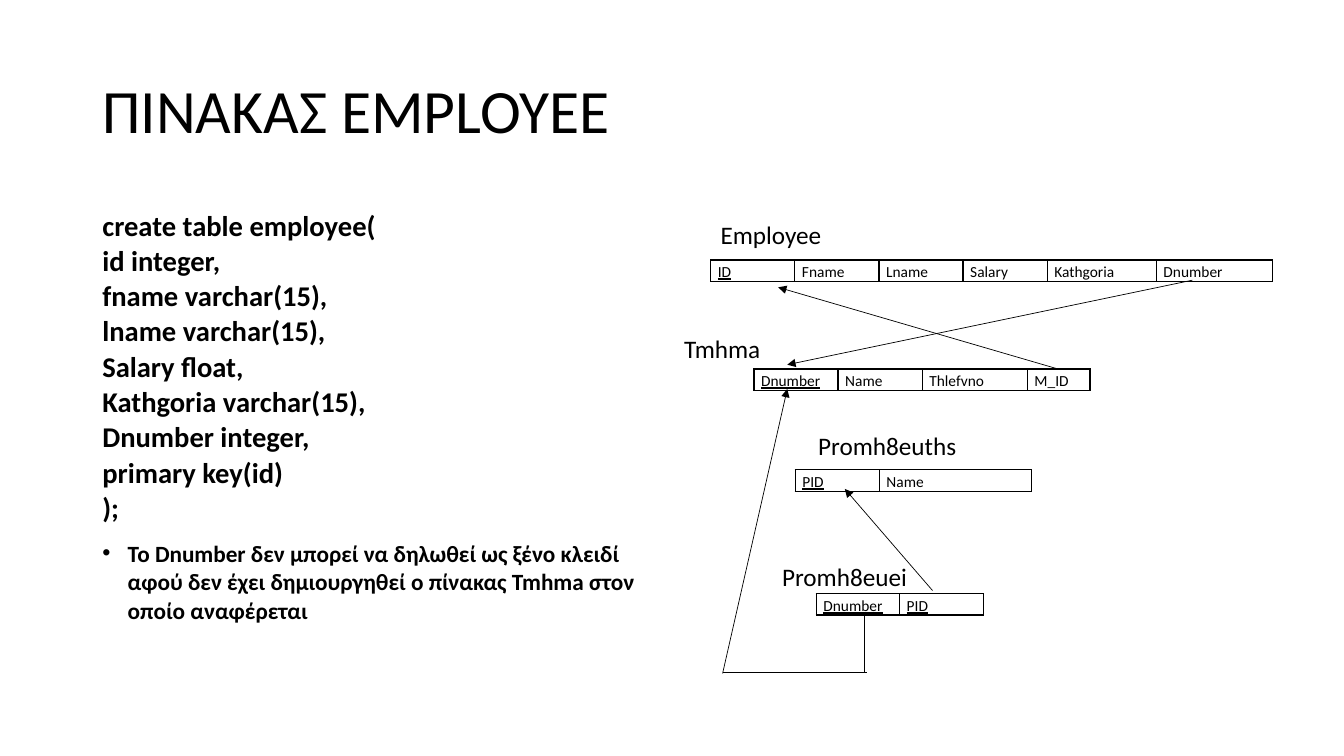
from pptx import Presentation
from pptx import util as u
from pptx.dml import color
from pptx.enum import shapes, text
from pptx.oxml import parse_xml
from pptx.oxml.ns import nsdecls, qn
from lxml import etree

COLORS = {"ink": "000000", "paper": "FFFFFF"}
FONT = "Calibri"
KEY_WIDTH = 2.12
ROW_HEIGHT = 0.51

SQL_LINES = [
    "create table employee(", "id integer,", "fname varchar(15),",
    "lname varchar(15),", "Salary float,", "Kathgoria varchar(15),",
    "Dnumber integer,", "primary key(id)", ");",
]
NOTE = ("Το Dnumber δεν μπορεί να δηλωθεί ως ξένο κλειδί αφού δεν έχει "
        "δημιουργηθεί ο πίνακας Tmhma στον οποίο αναφέρεται")

# name, label box, table corner, columns as (field, width, is key)
RELATIONS = [
    ("Employee", (17.91, 5.41, 3.07, 1.02), (17.91, 6.55),
     [("ID", KEY_WIDTH, True), ("Fname", KEY_WIDTH, False),
      ("Lname", KEY_WIDTH, False), ("Salary", KEY_WIDTH, False),
      ("Kathgoria", 2.75, False), ("Dnumber", 2.93, False)]),
    ("Tmhma", (16.99, 8.28, 2.46, 1.02), (19, 9.3),
     [("Dnumber", KEY_WIDTH, True), ("Name", KEY_WIDTH, False),
      ("Thlefvno", 2.65, False), ("M_ID", 1.58, False)]),
    ("Promh8euths", (20.37, 10.72, 4.04, 1.8), (20.04, 11.84),
     [("PID", KEY_WIDTH, True), ("Name", 3.83, False)]),
    ("Promh8euei", (19.46, 14.02, 3.68, 1.8), (20.57, 14.96),
     [("Dnumber", 2.1, True), ("PID", KEY_WIDTH, True)]),
]

# start, end, has arrowhead
REFERENCES = [
    ((23.5, 14.88), (21.29, 12.32), True),
    ((21.77, 15.47), (21.77, 16.97), False),
    ((21.84, 16.94), (18.21, 16.94), False),
    ((18.21, 16.97), (19.84, 9.8), True),
    ((26.67, 9.3), (19.61, 7.24), True),
    ((30.05, 7.06), (19.84, 9.19), True),
]


def rgb(name):
    return color.RGBColor.from_string(COLORS[name])


def add_run(paragraph, words, size, bold=False, underline=False):
    run = paragraph.add_run()
    run.text = words
    run.font.name = FONT
    run.font.size = u.Pt(size)
    run.font.bold = bold
    run.font.underline = underline
    run.font.color.rgb = rgb("ink")


def add_text_frame(slide, box, wrap=True):
    frame = slide.shapes.add_textbox(*map(u.Cm, box)).text_frame
    frame.word_wrap = wrap
    return frame


def add_title(slide, words):
    frame = add_text_frame(slide, (2.33, 1.02, 29.21, 3.68))
    frame.vertical_anchor = text.MSO_ANCHOR.MIDDLE
    paragraph = frame.paragraphs[0]
    paragraph.line_spacing = 0.9
    add_run(paragraph, words, 44)


def add_bullet(paragraph):
    properties = paragraph._p.get_or_add_pPr()
    indent = u.Cm(0.64)
    properties.set("marL", str(indent))
    properties.set("indent", str(-indent))
    etree.SubElement(properties, qn("a:buFont"), typeface="Arial")
    etree.SubElement(properties, qn("a:buChar"), char="•")


def add_body(slide):
    frame = add_text_frame(slide, (2.33, 5.08, 14.4, 12.09))
    for index, line in enumerate(SQL_LINES):
        paragraph = frame.add_paragraph() if index else frame.paragraphs[0]
        paragraph.line_spacing = 1.03
        add_run(paragraph, line, 20.4, bold=True)
    paragraph = frame.add_paragraph()
    paragraph.line_spacing = 1.03
    paragraph.space_before = paragraph.space_after = u.Pt(10)
    add_bullet(paragraph)
    add_run(paragraph, NOTE, 16.6, bold=True)


def add_borders(cell):
    """Draw a 1 pt line on each side; borders must precede the cell fill."""
    properties = cell._tc.get_or_add_tcPr()
    for index, side in enumerate(("lnL", "lnR", "lnT", "lnB")):
        properties.insert(index, parse_xml(
            f'<a:{side} {nsdecls("a")} w="{u.Pt(1)}"><a:solidFill>'
            f'<a:srgbClr val="{COLORS["ink"]}"/></a:solidFill></a:{side}>'))


def add_relation_table(slide, corner, columns):
    total = sum(width for _, width, _ in columns)
    table = slide.shapes.add_table(
        1, len(columns), *map(u.Cm, (*corner, total, ROW_HEIGHT))).table
    table.first_row = table.horz_banding = False
    table.rows[0].height = u.Cm(ROW_HEIGHT)
    for index, (field, width, is_key) in enumerate(columns):
        table.columns[index].width = u.Cm(width)
        cell = table.cell(0, index)
        cell.margin_left = cell.margin_right = u.Cm(0.18)
        cell.margin_top = cell.margin_bottom = 0
        cell.fill.background()
        add_borders(cell)
        paragraph = cell.text_frame.paragraphs[0]
        paragraph.line_spacing = 1.15
        add_run(paragraph, field, 11, underline=is_key)


def add_reference(slide, start, end, has_arrow):
    connector = slide.shapes.add_connector(
        shapes.MSO_CONNECTOR.STRAIGHT, *map(u.Cm, (*start, *end)))
    connector.line.color.rgb = rgb("ink")
    connector.line.width = u.Pt(0.5)
    if has_arrow:
        etree.SubElement(connector.line._get_or_add_ln(), qn("a:tailEnd"),
                         type="triangle")
    etree.SubElement(connector._element.spPr, qn("a:effectLst"))


def main():
    presentation = Presentation()
    presentation.slide_width = u.Cm(33.87)
    presentation.slide_height = u.Cm(19.05)
    slide = presentation.slides.add_slide(presentation.slide_layouts[6])
    slide.background.fill.solid()
    slide.background.fill.fore_color.rgb = rgb("paper")

    add_title(slide, "ΠΙΝΑΚΑΣ EMPLOYEE")
    add_body(slide)
    for name, label_box, corner, columns in RELATIONS:
        add_relation_table(slide, corner, columns)
        label = add_text_frame(slide, label_box, wrap=False)
        add_run(label.paragraphs[0], name, 18)
    for start, end, has_arrow in REFERENCES:
        add_reference(slide, start, end, has_arrow)
    presentation.save("out.pptx")


if __name__ == "__main__":
    main()
